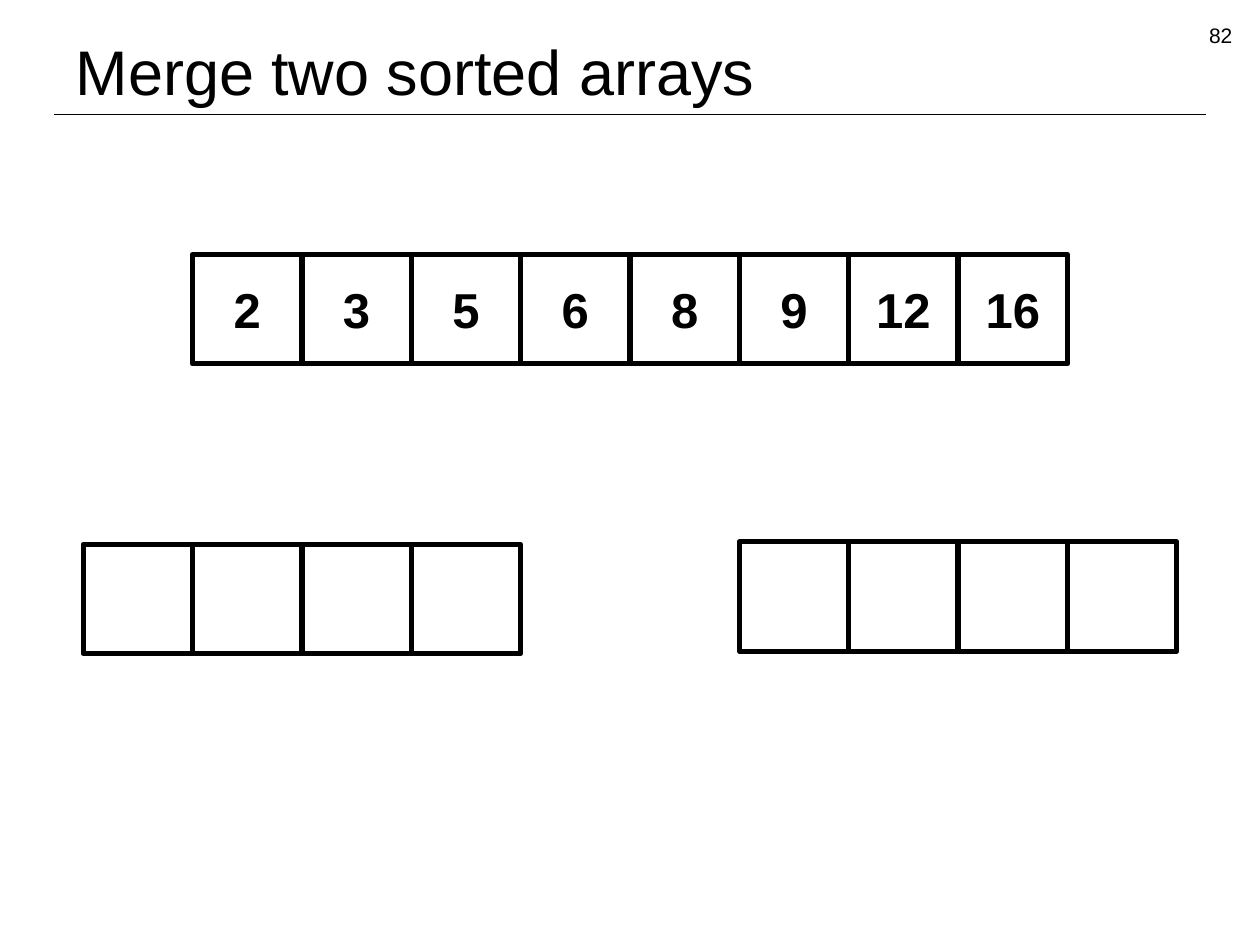
"""Build the slide that shows a merged array above two empty halves."""
from lxml.etree import SubElement
from pptx import Presentation
from pptx.dml.color import RGBColor
from pptx.enum.shapes import MSO_CONNECTOR, MSO_SHAPE
from pptx.enum.text import MSO_ANCHOR, MSO_AUTO_SIZE, PP_ALIGN
from pptx.oxml.ns import qn
from pptx.util import Inches, Pt

THEME = {
    "ink": RGBColor(0, 0, 0),
    "font": "Arial",
    "title": Pt(36),
    "number": Pt(12),
    "value": Pt(28),
    "rule": Pt(0.75),
    "border": Pt(3),
}
COLUMNS = 10
MARGIN = Inches(0.66)
ARRAYS = [
    (1, Inches(2.02), ["2", "3", "5", "6", "8", "9", "12", "16"]),
    (0, Inches(4.32), [""] * 4),
    (6, Inches(4.3), [""] * 4),
]


def write(frame, text, size, align, anchor, wrap=True, bold=False):
    layout = {"auto_size": MSO_AUTO_SIZE.NONE, "word_wrap": wrap, "vertical_anchor": anchor}
    for name, value in layout.items():
        setattr(frame, name, value)
    line = frame.paragraphs[0]
    line.alignment = align
    run = line.add_run()
    run.text = text
    for name, value in {"name": THEME["font"], "size": size, "bold": bold}.items():
        setattr(run.font, name, value)
    run.font.color.rgb = THEME["ink"]


deck = Presentation()
deck.slide_width, deck.slide_height = Inches(10), Inches(7.5)
slide = deck.slides.add_slide(deck.slide_layouts[5])
cell_size = (deck.slide_width - 2 * MARGIN) // COLUMNS

rule = slide.shapes.add_connector(
    MSO_CONNECTOR.STRAIGHT, Inches(0.43), Inches(0.91), Inches(9.57), Inches(0.91)
)
rule.line.color.rgb = THEME["ink"]
rule.line.width = THEME["rule"]
SubElement(rule.element.spPr, qn("a:effectLst"))

heading = slide.shapes.title
heading_place = {
    "left": Inches(0.5), "top": Inches(0.13), "width": Inches(9), "height": Inches(0.78)
}
for side, length in heading_place.items():
    setattr(heading, side, length)
write(heading.text_frame, "Merge two sorted arrays", THEME["title"], PP_ALIGN.LEFT, MSO_ANCHOR.BOTTOM)

page_number = slide.shapes.add_textbox(Inches(7.55), Inches(0.13), Inches(2.33), Inches(0.28))
write(page_number.text_frame, "82", THEME["number"], PP_ALIGN.RIGHT, MSO_ANCHOR.TOP)

for first_column, top, values in ARRAYS:
    array = slide.shapes.add_group_shape()
    for column, value in enumerate(values, first_column):
        cell = array.shapes.add_shape(
            MSO_SHAPE.RECTANGLE, MARGIN + column * cell_size, top, cell_size, cell_size
        )
        cell.shadow.inherit = False
        cell.fill.background()
        cell.line.color.rgb = THEME["ink"]
        cell.line.width = THEME["border"]
        if value:
            write(cell.text_frame, value, THEME["value"], PP_ALIGN.CENTER, MSO_ANCHOR.MIDDLE, False, True)

deck.save("out.pptx")
